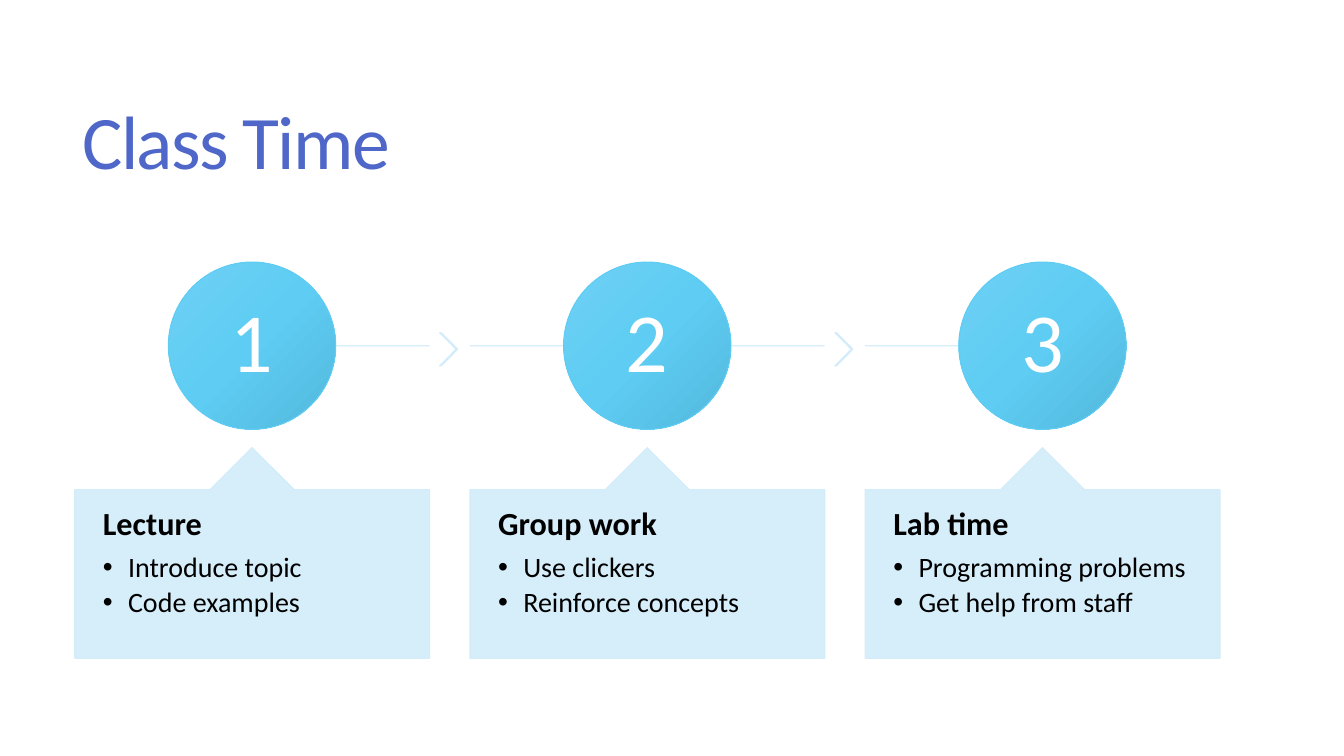
from copy import deepcopy
from lxml.etree import SubElement
from pptx import Presentation
from pptx.dml.color import RGBColor
from pptx.enum.shapes import MSO_CONNECTOR, MSO_SHAPE
from pptx.enum.text import MSO_ANCHOR, MSO_AUTO_SIZE, PP_ALIGN
from pptx.oxml.ns import qn
from pptx.util import Inches, Pt

TITLE = "Class Time"
STEPS = [
    ("Lecture", ["Introduce topic", "Code examples"]),
    ("Group work", ["Use clickers", "Reinforce concepts"]),
    ("Lab time", ["Programming problems", "Get help from staff"]),
]
FONT = "Calibri"
PALE, SKY = "D2ECFA", "5ECCF3"
STOPS = [(0, "6FD0F4"), (0.5, SKY), (1, "53B8DC")]
LEFT, PITCH, WIDTH = 0.74, 3.92, 3.52
DISC, AXIS = 1.66, 3.43


def rgb(code):
    return RGBColor.from_string(code)


def style(font, size, color, bold=False):
    font.name, font.size, font.bold = FONT, Pt(size), bold
    font.color.rgb = rgb(color)


def fade(item):
    """Make every colour of the item 90% opaque."""
    for color in item._element.spPr.iter(qn("a:srgbClr")):
        SubElement(color, qn("a:alpha")).set("val", "90000")


def add_shape(kind, x, y, w, h, edge):
    shape = slide.shapes.add_shape(kind, Inches(x), Inches(y), Inches(w), Inches(h))
    shape.shadow.inherit = False
    shape.line.color.rgb = rgb(edge)
    shape.line.width = Pt(0.75)
    return shape


def add_pale(kind, x, y, w, h, *adjust):
    shape = add_shape(kind, x, y, w, h, PALE)
    shape.fill.solid()
    shape.fill.fore_color.rgb = rgb(PALE)
    for i, value in enumerate(adjust):
        shape.adjustments[i] = value
    fade(shape)
    return shape


def set_frame(shape, anchor, side, end):
    frame = shape.text_frame
    frame.word_wrap = True
    frame.vertical_anchor = anchor
    frame.margin_left = frame.margin_right = Inches(side)
    frame.margin_top = frame.margin_bottom = Inches(end)
    return frame


def add_line(start, end):
    line = slide.shapes.add_connector(
        MSO_CONNECTOR.STRAIGHT, Inches(start), Inches(AXIS), Inches(end), Inches(AXIS))
    line.line.color.rgb = rgb(PALE)
    line.line.width = Pt(0.75)
    fade(line)
    SubElement(line._element.spPr, qn("a:effectLst"))


def add_disc(mid, label):
    disc = add_shape(MSO_SHAPE.OVAL, mid - DISC / 2, AXIS - DISC / 2, DISC, DISC, SKY)
    disc.fill.gradient()
    disc.fill.gradient_angle = 315
    first = disc._element.spPr.find(".//" + qn("a:gs"))
    first.addnext(deepcopy(first))
    for stop, (place, color) in zip(disc.fill.gradient_stops, STOPS):
        stop.position = place
        stop.color.rgb = rgb(color)
    para = set_frame(disc, MSO_ANCHOR.MIDDLE, 0.06, 0.06).paragraphs[0]
    para.text = label
    para.alignment = PP_ALIGN.CENTER
    para.line_spacing = 0.9
    style(para.font, 60, "FFFFFF")


def add_card(x, head, items):
    card = add_pale(MSO_SHAPE.UP_ARROW_CALLOUT, x, 4.44, WIDTH, 2.09, 0.5, 0.2, 0.2, 1)
    frame = set_frame(card, MSO_ANCHOR.TOP, 0.28, 0.18)
    for i, text in enumerate([head] + items):
        para = frame.paragraphs[0] if i == 0 else frame.add_paragraph()
        para.text = text
        para.alignment = PP_ALIGN.LEFT
        para.line_spacing = 0.9
        para.space_after = Pt(3 if i else 8)
        if i:
            props = para._p.get_or_add_pPr()
            props.set("marL", str(Inches(0.25)))
            props.set("indent", str(Inches(-0.25)))
            SubElement(props, qn("a:buFont")).set("typeface", "Arial")
            SubElement(props, qn("a:buChar")).set("char", "•")
        style(para.font, 20 if i else 23, "000000", bold=i == 0)


deck = Presentation()
deck.slide_width, deck.slide_height = Inches(13.33), Inches(7.5)
slide = deck.slides.add_slide(deck.slide_layouts[5])

title = slide.shapes.title
title.left, title.top = Inches(0.72), Inches(0.55)
title.width, title.height = Inches(11.78), Inches(1.81)
title.text = TITLE
title.text_frame.vertical_anchor = MSO_ANCHOR.MIDDLE
title.text_frame.auto_size = MSO_AUTO_SIZE.NONE
para = title.text_frame.paragraphs[0]
para.alignment = PP_ALIGN.LEFT
para.line_spacing = 0.85
style(para.runs[0].font, 54, "4E67C8")
para.runs[0].font._element.set("spc", "-120")

last = len(STEPS) - 1
for i, (head, items) in enumerate(STEPS):
    x = LEFT + i * PITCH
    mid = x + WIDTH / 2
    add_line(x if i else mid, x + WIDTH if i < last else mid)
    if i < last:
        add_pale(MSO_SHAPE.CHEVRON, x + WIDTH + 0.1, 3.3, 0.18, 0.33, 0.9)
    add_disc(mid, str(i + 1))
    add_card(x, head, items)

deck.save("out.pptx")
